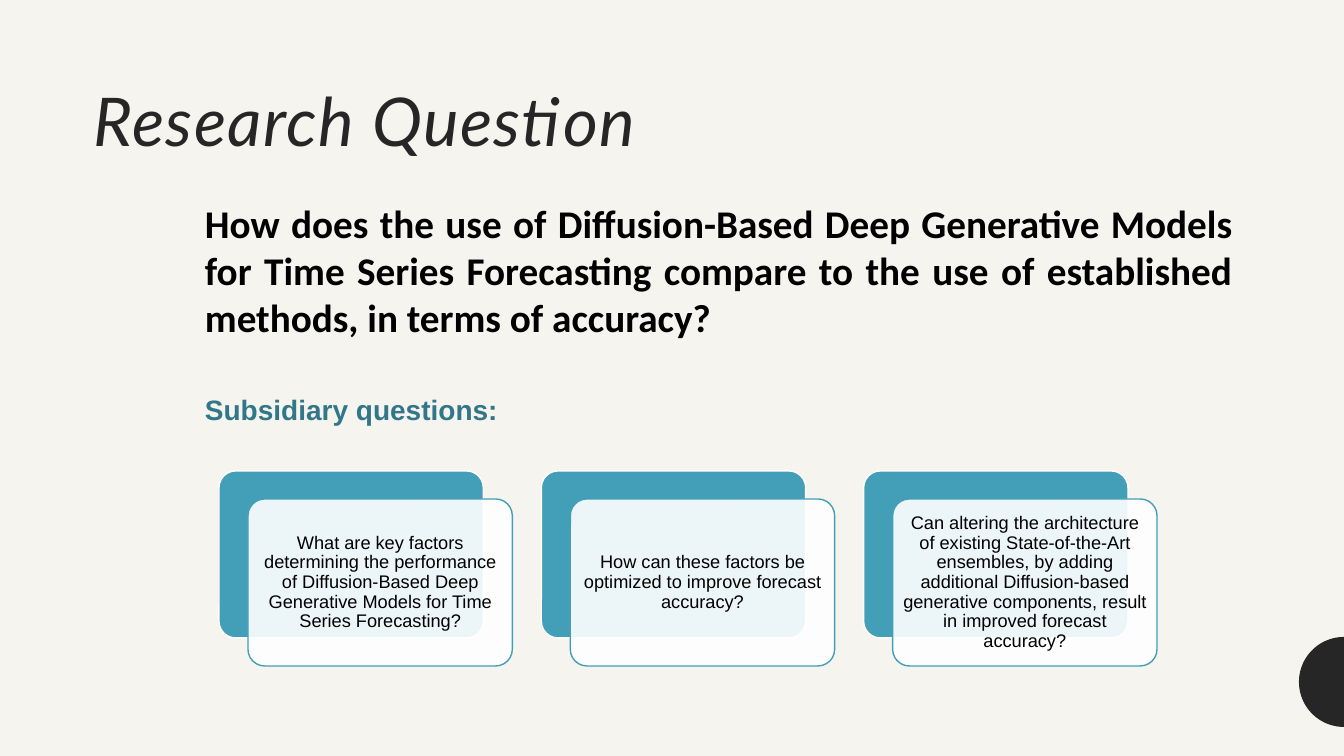
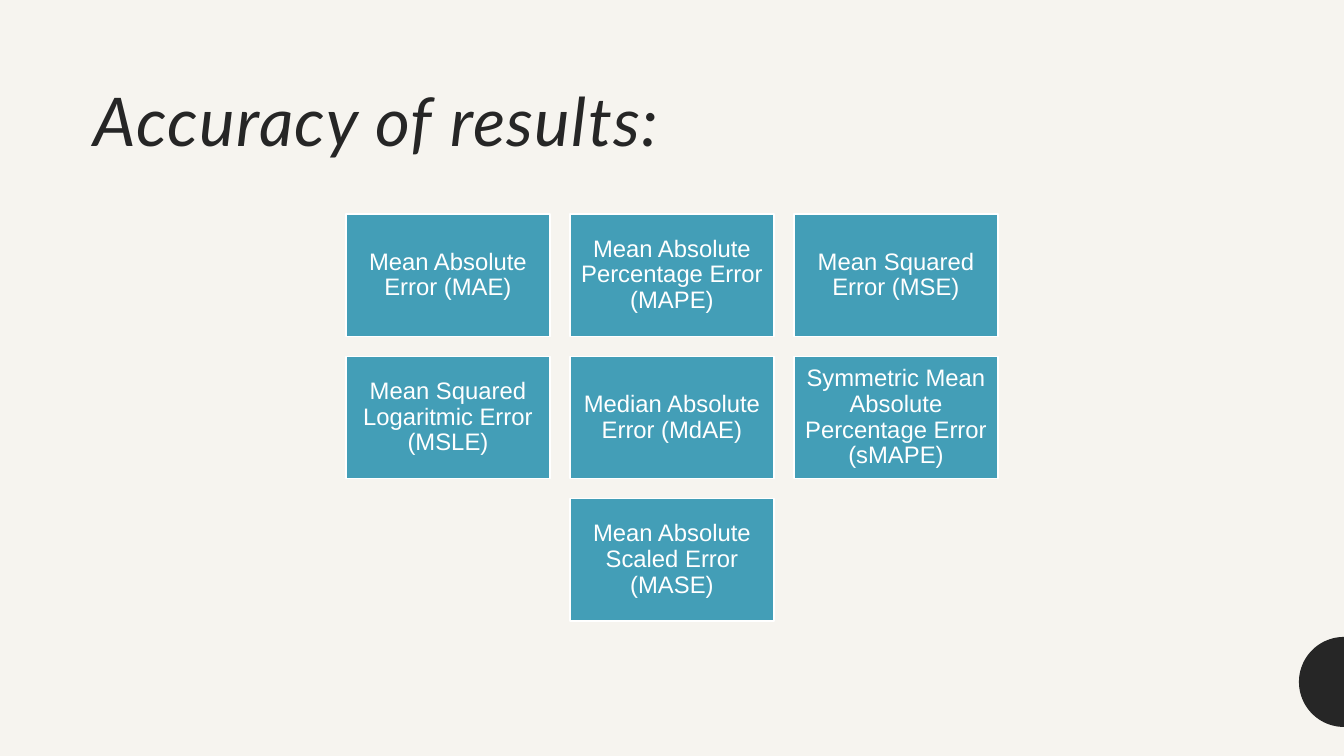
from math import cos, pi, sin

from pptx import Presentation
from pptx.dml.color import RGBColor
from pptx.enum.shapes import MSO_SHAPE as SHAPE
from pptx.enum.text import MSO_ANCHOR as ANCHOR, PP_ALIGN as ALIGN
from pptx.oxml.ns import qn
from pptx.oxml.xmlchemy import OxmlElement
from pptx.util import Pt

W, H = 1344, 756
SCALE = 12192000 / W
COLORS = {
    "paper": "F6F4EF",
    "ink": "262626",
    "black": "000000",
    "white": "FFFFFF",
    "teal": "439EB7",
    "deep_teal": "327689",
}
QUESTION = (
    "How does the use of Diffusion-Based Deep Generative Models for Time Series "
    "Forecasting compare to the use of established methods, in terms of accuracy?"
)
SUBSIDIARY = [
    "What are key factors determining the performance of Diffusion-Based Deep "
    "Generative Models for Time Series Forecasting?",
    "How can these factors be optimized to improve forecast accuracy?",
    "Can altering the architecture of existing State-of-the-Art ensembles, by adding "
    "additional Diffusion-based generative components, result in improved forecast accuracy?",
]
METRICS = [
    "Mean Absolute Error (MAE)",
    "Mean Absolute Percentage Error (MAPE)",
    "Mean Squared Error (MSE)",
    "Mean Squared Logaritmic Error (MSLE)",
    "Median Absolute Error (MdAE)",
    "Symmetric Mean Absolute Percentage Error (sMAPE)",
    "Mean Absolute Scaled Error (MASE)",
]


def px(n):
    """Turn px into EMU."""
    return round(n * SCALE)


def rgb(name):
    """Look up a named colour."""
    return RGBColor.from_string(COLORS[name])


def write(sp, text, size=18, font="Arial", color="black", bold=False, italic=False,
          align=ALIGN.LEFT, anchor=ANCHOR.TOP, leading=None, spacing=None,
          inset=None, wrap=True):
    """Write one formatted paragraph into a shape."""
    tf = sp.text_frame
    tf.word_wrap = wrap
    tf.vertical_anchor = anchor
    if inset is not None:
        tf.margin_left = tf.margin_right = tf.margin_top = tf.margin_bottom = px(inset)
    p = tf.paragraphs[0]
    p.alignment = align
    p.line_spacing = leading
    r = p.add_run()
    r.text = text
    f = r.font
    f.name, f.size, f.bold, f.italic = font, Pt(size), bold, italic
    f.color.rgb = rgb(color)
    if spacing:
        r._r.get_or_add_rPr().set("spc", str(spacing * 100))


def add_text(s, box, text, **fmt):
    """Add a text box."""
    write(s.shapes.add_textbox(*map(px, box)), text, **fmt)


def add_panel(s, kind, box, fill, line, opacity=None):
    """Add a filled and outlined shape without shadow."""
    sp = s.shapes.add_shape(kind, *map(px, box))
    sp.shadow.inherit = False
    sp.fill.solid()
    sp.fill.fore_color.rgb = rgb(fill)
    sp.line.color.rgb = rgb(line)
    sp.line.width = Pt(1)
    if opacity:
        alpha = OxmlElement("a:alpha")
        alpha.set("val", str(opacity * 1000))
        sp.fill._xPr.find(qn("a:solidFill"))[0].append(alpha)
    return sp


def add_half_disc(s, cx, cy, radius):
    """Draw the left half of a disc centred on the slide edge."""
    steps = 48
    angles = [pi / 2 + pi * i / steps for i in range(steps + 1)]
    points = [(px(cx + radius * cos(a)), px(cy + radius * sin(a))) for a in angles]
    builder = s.shapes.build_freeform(*points[0], scale=1.0)
    builder.add_line_segments(points[1:], close=True)
    sp = builder.convert_to_shape()
    sp.shadow.inherit = False
    sp.fill.solid()
    sp.fill.fore_color.rgb = rgb("ink")
    sp.line.fill.background()


def add_base(prs, title):
    """Add a slide with the shared background, edge disc and title."""
    s = prs.slides.add_slide(prs.slide_layouts[6])
    s.background.fill.solid()
    s.background.fill.fore_color.rgb = rgb("paper")
    add_half_disc(s, W, 682, 45)
    add_text(s, (84, 84, 1167, 80), title, size=48, font="Lato", color="ink",
             italic=True, leading=0.9, spacing=1)
    return s


def add_cards(s, box, texts, gap=29, shift=(29, 28)):
    """Lay out a row of layered cards in equal columns."""
    x, y, w, h = box
    dx, dy = shift
    col = (w - gap * (len(texts) - 1)) / len(texts)
    size = (col - dx, h - dy)
    for i, text in enumerate(texts):
        left = x + i * (col + gap)
        back = add_panel(s, SHAPE.ROUNDED_RECTANGLE, (left, y, *size), "teal", "white")
        front = add_panel(s, SHAPE.ROUNDED_RECTANGLE, (left + dx, y + dy, *size),
                          "white", "teal", opacity=90)
        back.adjustments[0] = front.adjustments[0] = 0.1
        write(front, text, size=13, align=ALIGN.CENTER, anchor=ANCHOR.MIDDLE,
              leading=0.9, inset=5)


def add_tiles(s, box, texts, cols=3, gap=20):
    """Lay out tiles in a grid whose last row is centred."""
    x, y, w, h = box
    rows = [texts[i:i + cols] for i in range(0, len(texts), cols)]
    tw = (w - gap * (cols - 1)) / cols
    th = (h - gap * (len(rows) - 1)) / len(rows)
    for j, row in enumerate(rows):
        left = x + (cols - len(row)) * (tw + gap) / 2
        for i, text in enumerate(row):
            tile = (left + i * (tw + gap), y + j * (th + gap), tw, th)
            sp = add_panel(s, SHAPE.RECTANGLE, tile, "teal", "white")
            write(sp, text, size=17, color="white", align=ALIGN.CENTER,
                  anchor=ANCHOR.MIDDLE, leading=0.9, inset=7)


def question_slide(prs):
    """Build the research question slide."""
    s = add_base(prs, "Research Question")
    add_text(s, (195, 388, 316, 44), "Subsidiary questions:", size=20,
             color="deep_teal", bold=True, wrap=False)
    add_text(s, (195, 194, 1047, 152), QUESTION, size=28, font="Calibri",
             bold=True, align=ALIGN.JUSTIFY)
    add_cards(s, (219, 471, 938, 195), SUBSIDIARY)


def metrics_slide(prs):
    """Build the accuracy metrics slide."""
    s = add_base(prs, "Accuracy of results:")
    add_tiles(s, (346, 214, 652, 407), METRICS)


def main():
    """Build and save the presentation."""
    prs = Presentation()
    prs.slide_width, prs.slide_height = px(W), px(H)
    question_slide(prs)
    metrics_slide(prs)
    prs.save("out.pptx")


if __name__ == "__main__":
    main()
